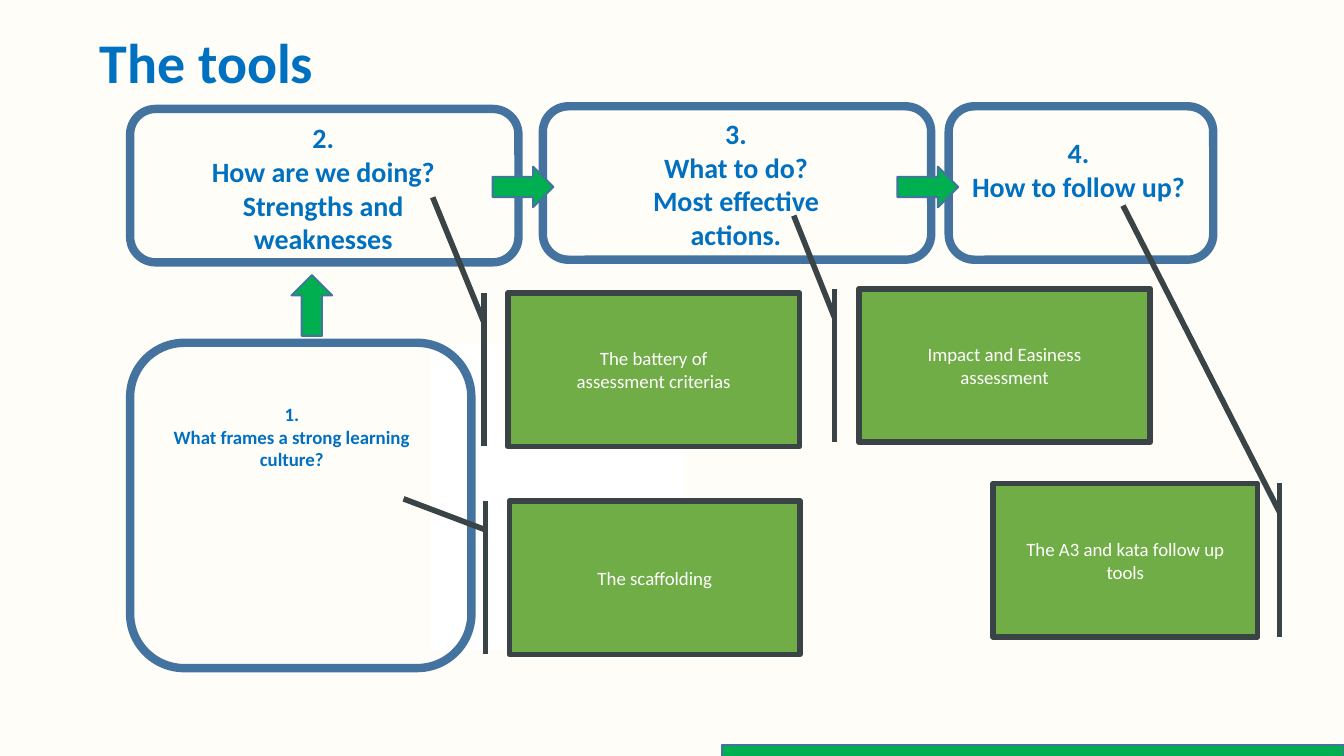
from pptx import Presentation
from pptx.dml.color import RGBColor
from pptx.enum.shapes import MSO_SHAPE
from pptx.enum.text import MSO_ANCHOR, MSO_AUTO_SIZE, PP_ALIGN
from pptx.oxml.ns import qn
from pptx.util import Cm, Pt

ROUNDED = MSO_SHAPE.ROUNDED_RECTANGLE
RECTANGLE = MSO_SHAPE.RECTANGLE
UP_ARROW = MSO_SHAPE.UP_ARROW
CALLOUT = MSO_SHAPE.LINE_CALLOUT_1_BORDER_AND_ACCENT_BAR
MIDDLE = MSO_ANCHOR.MIDDLE
GROW = MSO_AUTO_SIZE.SHAPE_TO_FIT_TEXT
LEFT, CENTER = PP_ALIGN.LEFT, PP_ALIGN.CENTER

COLORS = {
    "background": "FFFDF8",
    "heading": "0070C0",
    "frame": "43739E",
    "arrow": "00B050",
    "tool": "70AD47",
    "tool_line": "3A4446",
    "white": "FFFFFF",
}
FONT = "Calibri"
SMALL = 10.1
TITLE_ONLY = 5


def color(name):
    return RGBColor.from_string(COLORS[name])


class ToolsSlide:
    """Holds the slide and draws its elements; all lengths are in centimetres."""

    def __init__(self, deck):
        self.slide = deck.slides.add_slide(deck.slide_layouts[TITLE_ONLY])
        fill = self.slide.background.fill
        fill.solid()
        fill.fore_color.rgb = color("background")

    def set_text(self, frame, lines, size, font_color, bold=False, align=CENTER):
        frame.word_wrap = True
        frame.text = "\n".join(lines)
        for para in frame.paragraphs:
            para.alignment = align
            para.font.name = FONT
            para.font.size = Pt(size)
            para.font.bold = bold
            para.font.color.rgb = color(font_color)

    def title(self, text, left, top, width, height):
        title = self.slide.shapes.title
        title.left, title.top = Cm(left), Cm(top)
        title.width, title.height = Cm(width), Cm(height)
        frame = title.text_frame
        self.set_text(frame, [text], 30, "heading", bold=True, align=LEFT)
        frame.vertical_anchor = MIDDLE
        frame.paragraphs[0].line_spacing = 0.9

    def shape(self, kind, left, top, width, height, fill=None, line=None, weight=1):
        shape = self.slide.shapes.add_shape(
            kind, Cm(left), Cm(top), Cm(width), Cm(height))
        shape.shadow.inherit = False
        if fill:
            shape.fill.solid()
            shape.fill.fore_color.rgb = color(fill)
        else:
            shape.fill.background()
        if line:
            shape.line.color.rgb = color(line)
            shape.line.width = Pt(weight)
        else:
            shape.line.fill.background()
        return shape

    def step_frame(self, left, top, width, height):
        self.shape(ROUNDED, left, top, width, height, line="frame", weight=4.5)

    def label(self, lines, left, top, width, height, size=15):
        box = self.slide.shapes.add_textbox(
            Cm(left), Cm(top), Cm(width), Cm(height))
        self.set_text(box.text_frame, lines, size, "heading", bold=True)
        box.text_frame.auto_size = GROW

    def arrow(self, left, top, rotation=0):
        arrow = self.shape(UP_ARROW, left, top, 0.77, 1.15, "arrow", "frame")
        arrow.rotation = rotation

    def tool(self, lines, left, top, width, end_y, end_x, flipped=False):
        """Callout whose leader ends at fractions of its height and width."""
        callout = self.shape(CALLOUT, left, top, width, 2.9, "tool", "tool_line", 3)
        for index, value in enumerate((0.188, -0.083, end_y, end_x)):
            callout.adjustments[index] = value
        if flipped:
            callout.element.spPr.find(qn("a:xfrm")).set("flipH", "1")
        self.set_text(callout.text_frame, lines, SMALL, "white")
        callout.text_frame.vertical_anchor = MIDDLE


def main():
    deck = Presentation()
    deck.slide_width, deck.slide_height = Cm(25.4), Cm(14.29)
    page = ToolsSlide(deck)
    page.title("The tools", 1.63, 0.2, 22.15, 2.06)

    for left, top, width in ((2.46, 2.06, 7.34), (10.26, 2.01, 7.34), (17.93, 2.01, 5)):
        page.step_frame(left, top, width, 2.9)
    page.shape(RECTANGLE, 8.15, 6.5, 4.78, 5.79, fill="white")

    page.label(["2.", "How are we doing?", "Strengths and weaknesses"],
               3.43, 2.16, 5.36, 2.82)
    page.label(["3.", "What to do?", "Most effective actions."],
               11.23, 2.08, 5.36, 2.82)
    page.label(["4.", "How to follow up?"], 18.11, 2.44, 4.55, 1.55)

    page.step_frame(2.46, 6.48, 6.45, 6.15)
    page.label(["1.", "What frames a strong learning culture?"],
               2.9, 7.49, 5.23, 1.55, SMALL)

    page.arrow(5.51, 5.2)
    for left in (9.5, 17.15):
        page.arrow(left, 2.96, rotation=90)
    page.shape(RECTANGLE, 13.64, 14.09, 11.76, 0.25, "arrow", "frame")

    page.tool(["The scaffolding"], 9.63, 9.47, 5.49, -0.014, -0.365)
    page.tool(["The battery of", "assessment criterias"],
              9.6, 5.54, 5.51, -0.624, -0.258)
    page.tool(["Impact and Easiness", "assessment"],
              16.23, 5.46, 5.51, -0.477, -0.223)
    page.tool(["The A3 and kata follow up tools"],
              18.77, 9.14, 5, -1.812, 0.509, flipped=True)

    deck.save("out.pptx")


if __name__ == "__main__":
    main()
